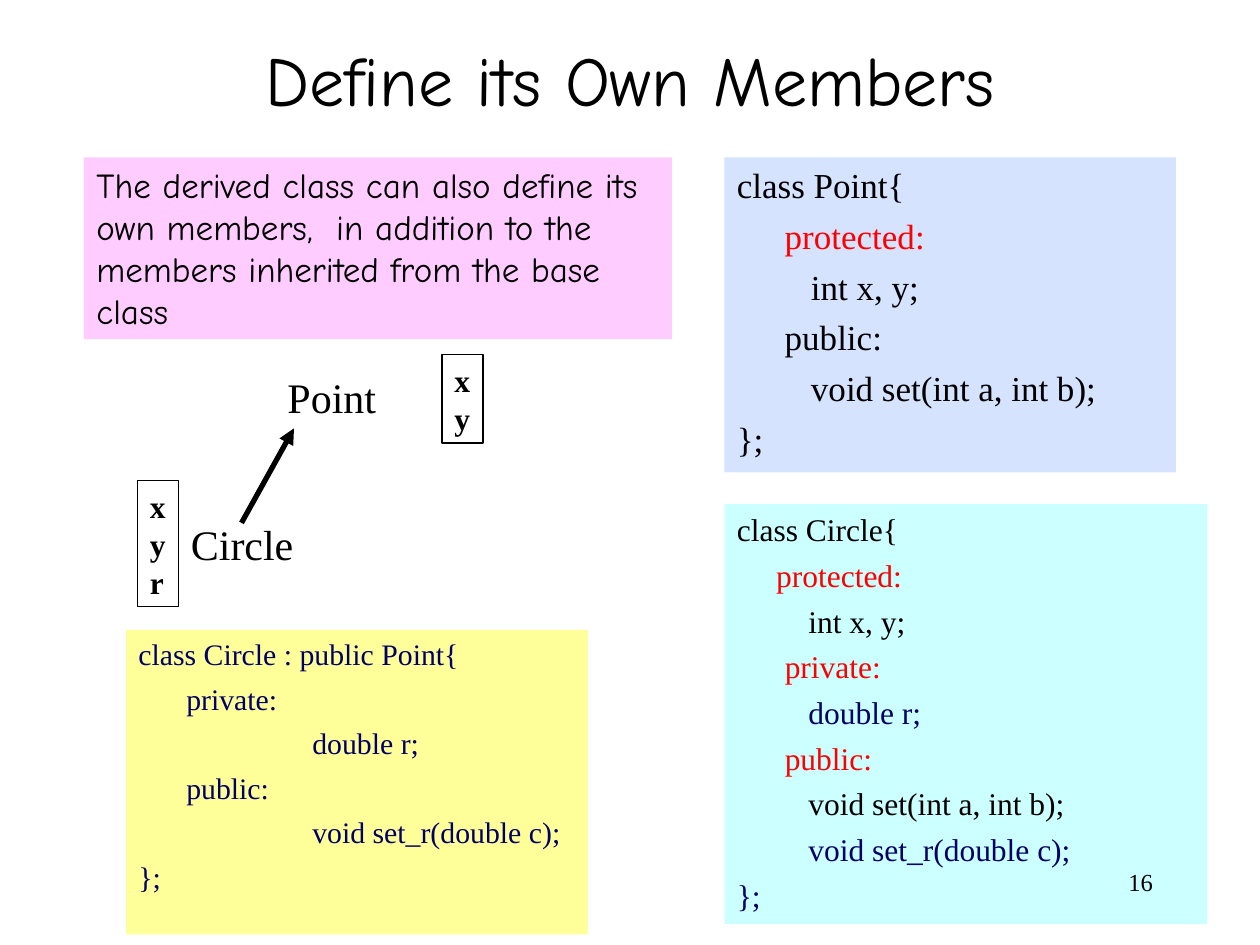
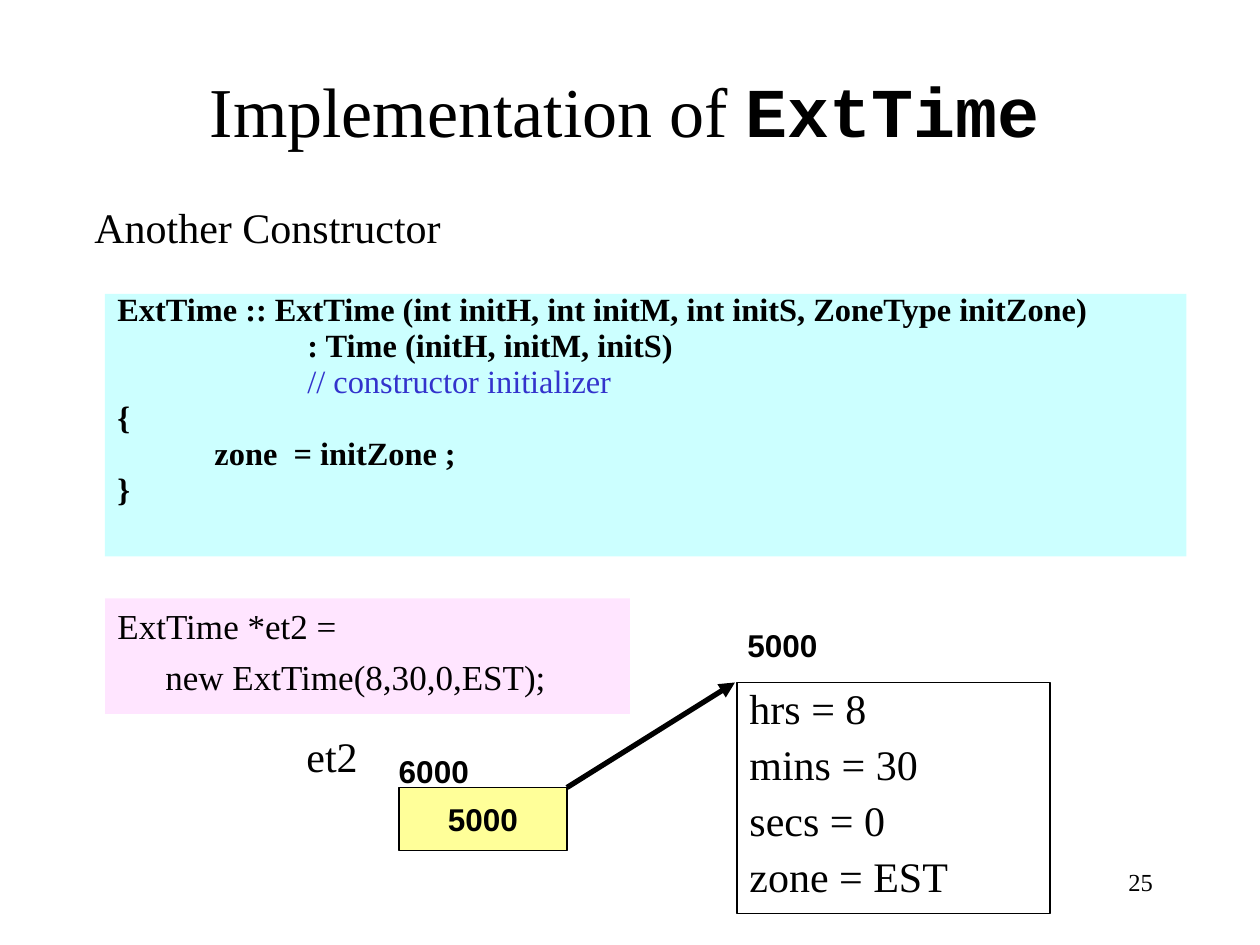
"""Build two slides on class inheritance: own members and the ExtTime constructor."""
from lxml.etree import SubElement
from pptx import Presentation
from pptx.dml.color import RGBColor
from pptx.enum.shapes import MSO_CONNECTOR as Connector, MSO_SHAPE as Shape
from pptx.enum.text import MSO_ANCHOR as Anchor, MSO_AUTO_SIZE as AutoSize, PP_ALIGN as Align
from pptx.oxml.ns import qn
from pptx.util import Inches, Pt

BLACK = RGBColor(0x00, 0x00, 0x00)
WHITE = RGBColor(0xFF, 0xFF, 0xFF)
RED = RGBColor(0xFF, 0x00, 0x00)
NAVY = RGBColor(0x00, 0x00, 0x66)
COMMENT_BLUE = RGBColor(0x33, 0x33, 0xCC)
PALE_BLUE = RGBColor(0xD5, 0xE3, 0xFF)
CYAN = RGBColor(0xCC, 0xFF, 0xFF)
YELLOW = RGBColor(0xFF, 0xFF, 0x99)
PINK = RGBColor(0xFF, 0xCC, 0xFF)
PALE_PINK = RGBColor(0xFF, 0xE5, 0xFF)

SERIF, SANS, MONO, COMIC = "Times New Roman", "Arial", "Courier New", "Comic Neue"
COLUMNS, ROWS = 120, 90
HANG, TAB = Inches(0.38), Inches(1)

deck = Presentation()
deck.slide_width, deck.slide_height = Inches(10), Inches(7.5)
column, row = deck.slide_width / COLUMNS, deck.slide_height / ROWS


def add_block(slide, place, lines, size, font=SERIF, color=BLACK, bold=False, fill=None,
              outline=False, align=Align.LEFT, anchor=Anchor.TOP, wrap=True, grow=False,
              code=False, before=0, leading=None):
    left, top, width, height = place
    frame = [int(left * column), int(top * row), int(width * column), int(height * row)]
    if fill or outline:
        block = slide.shapes.add_shape(Shape.RECTANGLE, *frame)
        block.shadow.inherit = False
        if fill:
            block.fill.solid()
            block.fill.fore_color.rgb = fill
        else:
            block.fill.background()
        if outline:
            block.line.color.rgb = BLACK
            block.line.width = Pt(0.75)
        else:
            block.line.fill.background()
    else:
        block = slide.shapes.add_textbox(*frame)
    text = block.text_frame
    text.word_wrap = wrap
    text.auto_size = AutoSize.SHAPE_TO_FIT_TEXT if grow else AutoSize.NONE
    text.vertical_anchor = anchor
    for number, line in enumerate(lines):
        paragraph = text.add_paragraph() if number else text.paragraphs[0]
        paragraph.alignment = align
        if code:
            properties = paragraph._p.get_or_add_pPr()
            properties.set("marL", str(HANG))
            properties.set("indent", str(-HANG))
            properties.set("defTabSz", str(TAB))
            stops = SubElement(properties, qn("a:tabLst"))
            for stop in range(8):
                SubElement(stops, qn("a:tab"), pos=str(stop * TAB), algn="l")
        if number and before:
            paragraph.space_before = Pt(before)
        if leading:
            paragraph.line_spacing = leading
        for words, change in [(line, {})] if isinstance(line, str) else line:
            run = paragraph.add_run()
            run.text = words
            run.font.size = Pt(size)
            run.font.name = change.get("font", font)
            run.font.bold = change.get("bold", bold)
            run.font.color.rgb = change.get("color", color)


def add_arrow(slide, start, end):
    arrow = slide.shapes.add_connector(
        Connector.STRAIGHT, int(start[0] * column), int(start[1] * row),
        int(end[0] * column), int(end[1] * row))
    arrow.line.color.rgb = BLACK
    arrow.line.width = Pt(3)
    SubElement(arrow.line._get_or_add_ln(), qn("a:tailEnd"), type="triangle")
    SubElement(arrow._element.spPr, qn("a:effectLst"))


blank = deck.slide_layouts[6]
members, ext_time = deck.slides.add_slide(blank), deck.slides.add_slide(blank)

title = dict(size=40, align=Align.CENTER)
label = dict(size=24)
listing = dict(code=True, before=5)
red, navy = dict(color=RED), dict(color=NAVY)

add_block(members, (9, 4, 102, 7), ["Define its Own Members"], font=COMIC,
          anchor=Anchor.MIDDLE, **title)
for name, place in (("Point", (26.2, 34.8, 13, 6)), ("Circle", (17, 48.8, 14, 6))):
    add_block(members, place, [name], **label)

add_block(members, (69, 15, 43, 30), [
    "class Point{",
    [("\t", {}), ("protected:", red)],
    "\t   int x, y;",
    "\tpublic:",
    "\t   void set(int a, int b);",
    "};",
], 20, fill=PALE_BLUE, **listing)

add_block(members, (12, 60, 44, 29), [
    "class Circle : public Point{",
    "\tprivate:",
    "\t\tdouble r;",
    "\tpublic:",
    "\t\tvoid set_r(double c);",
    "};",
], 17, color=NAVY, fill=YELLOW, **listing)

for fields, place in (("xy", (42.1, 33.8, 3.9, 8.4)), ("xyr", (13.1, 45.8, 3.9, 12))):
    add_block(members, place, fields, 18, bold=True, outline=True, wrap=False, grow=True)
add_arrow(members, (23, 49.8), (28, 40.8))

add_block(members, (69, 48, 46, 40), [
    "class Circle{",
    [("     protected:", red)],
    "\t   int x, y;",
    [("\t", {}), ("private:", red)],
    [("\t   ", {}), ("double r;", navy)],
    [("\t", {}), ("public:", red)],
    "\t   void set(int a, int b);",
    [("\t   ", {}), ("void set_r(double c);", navy)],
    [("};", navy)],
], 18, fill=CYAN, code=True, before=4.5)

add_block(members, (8, 15, 56, 17.3), [
    "The derived class can also define its own members,  in addition to the "
    "members inherited from the base class",
], 20, font=COMIC, fill=PINK, grow=True)

add_block(ext_time, (8, 4, 103, 11), [
    [("Implementation of ", {}), ("ExtTime", dict(font=MONO, bold=True))],
], anchor=Anchor.BOTTOM, **title)
for name, place in (("Another Constructor", (7.8, 18.6, 38, 6)), ("et2", (28, 69, 9, 6))):
    add_block(ext_time, place, [name], **label)

add_block(ext_time, (10, 28, 103, 25), [
    "ExtTime :: ExtTime (int initH, int initM, int initS, ZoneType initZone)",
    "\t\t  : Time (initH, initM, initS)",
    [("\t\t  // constructor initializer", dict(color=COMMENT_BLUE, bold=False))],
    "{",
    "            zone  = initZone ;",
    "}",
], 18.5, bold=True, fill=CYAN, leading=0.7, **listing)

add_block(ext_time, (10, 57, 50, 11), [
    "ExtTime *et2 =",
    "\tnew ExtTime(8,30,0,EST);",
], 20, fill=PALE_PINK, **listing)

add_block(ext_time, (70.2, 65, 29.8, 22), ["hrs = 8", "mins = 30", "secs = 0", "zone = EST"],
          24, outline=True, code=True, before=6, leading=0.9)

address = dict(size=18, font=SANS, bold=True)
for value, place in (("5000", (70, 59, 11, 4.8)), ("6000", (36.8, 71, 11, 4.8))):
    add_block(ext_time, place, [value], **address)
add_block(ext_time, (38, 75, 16, 6), ["5000"], fill=YELLOW, outline=True,
          align=Align.CENTER, anchor=Anchor.MIDDLE, **address)
add_arrow(ext_time, (54, 75), (70, 65))

for slide, page in ((members, "16"), (ext_time, "25")):
    slide.background.fill.solid()
    slide.background.fill.fore_color.rgb = WHITE
    add_block(slide, (86, 82, 25, 6), [page], 14, align=Align.RIGHT)

deck.save("out.pptx")
